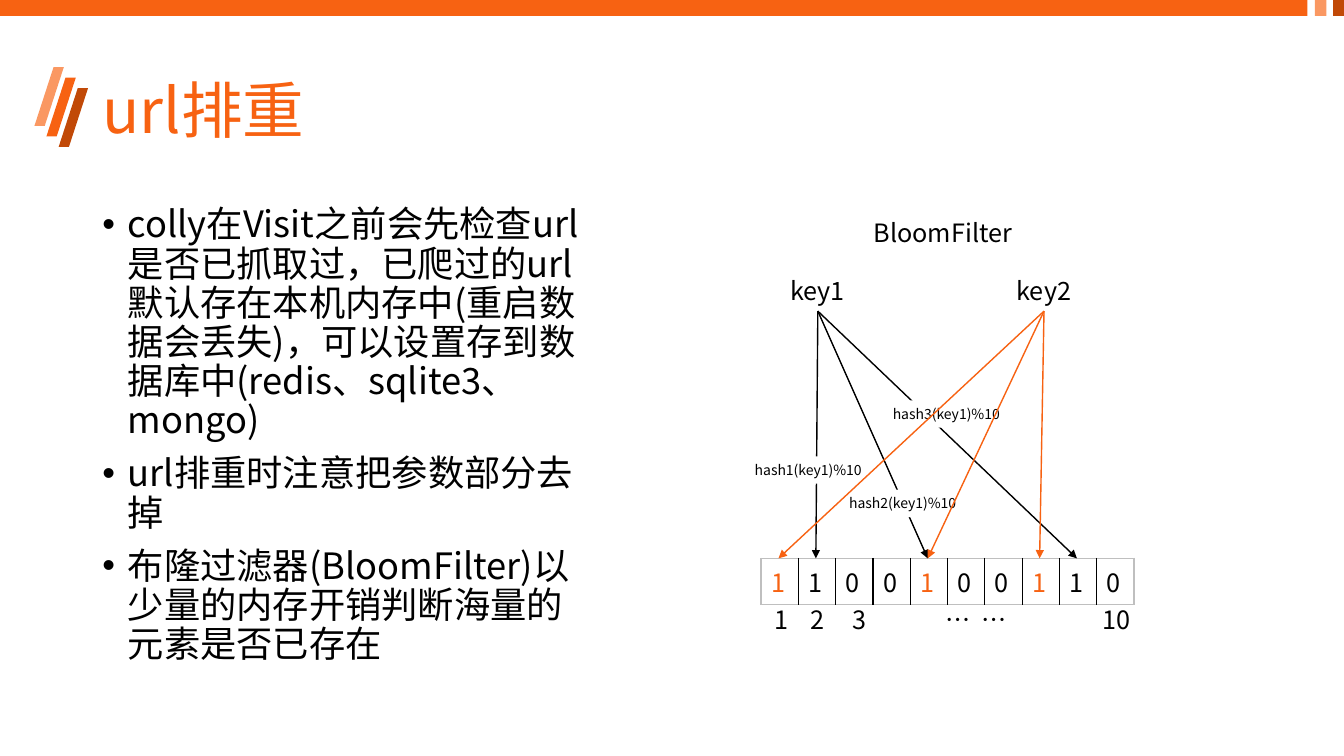
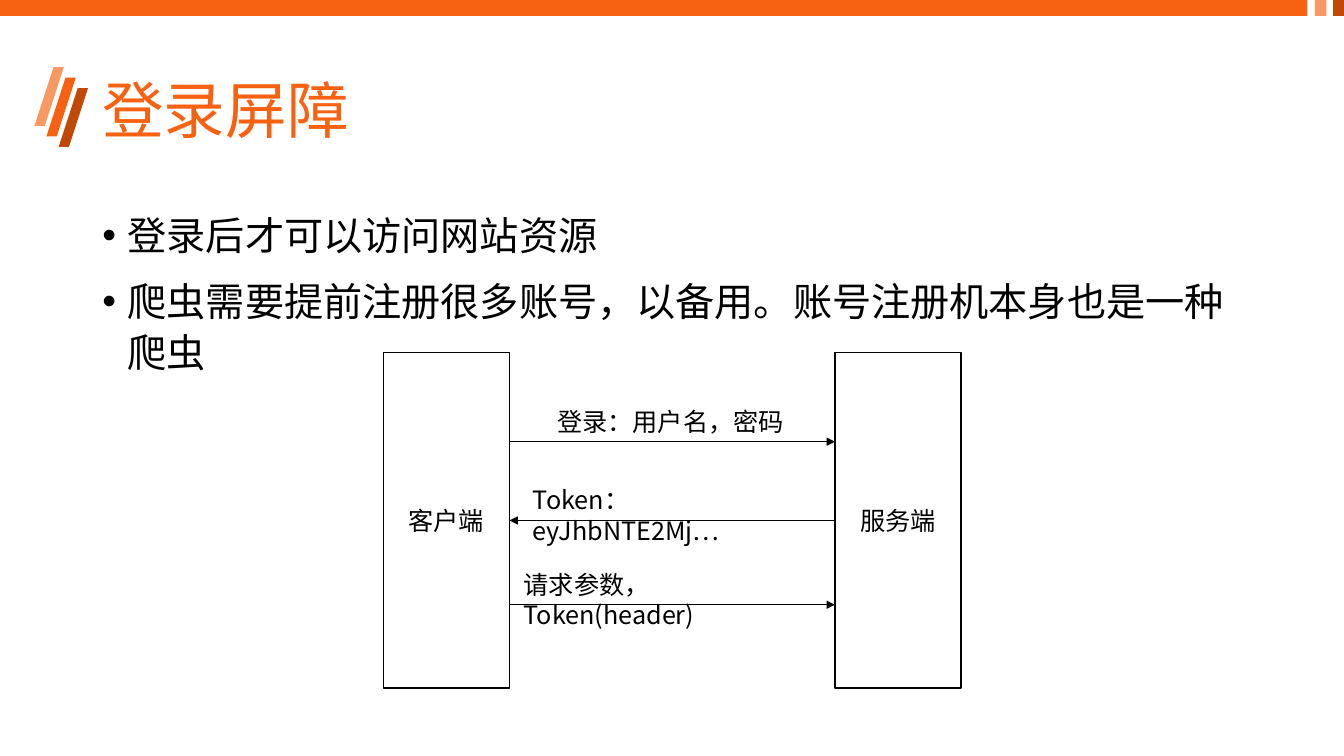
from dataclasses import dataclass
from typing import Optional

import lxml.etree
import pptx
import pptx.dml.color
import pptx.enum.shapes
import pptx.enum.text
import pptx.oxml.ns
import pptx.util

Cm = pptx.util.Cm
Pt = pptx.util.Pt
SHAPES = pptx.enum.shapes.MSO_SHAPE
ANCHOR = pptx.enum.text.MSO_ANCHOR
ALIGN = pptx.enum.text.PP_ALIGN

FONT = "Noto Sans CJK SC"
COLOURS = {
    "orange": "F76212",
    "light": "FA9862",
    "dark": "C14907",
    "black": "000000",
    "grey": "BFBFBF",
    "white": "FFFFFF",
}
TOP, LEFT, BOTTOM, RIGHT = range(4)


@dataclass
class Box:
    left: float
    top: float
    width: float
    height: float


@dataclass
class Decoration:
    box: Box
    colour: str
    geometry: int


@dataclass
class Label:
    text: str
    box: Box
    size: float = 18
    fill: Optional[str] = None
    wrap: bool = False


@dataclass
class Key:
    label: Label
    colour: str
    cells: tuple


DECORATIONS = [
    Decoration(Box(1.17, 1.96, 0.74, 1.48), "orange", SHAPES.PARALLELOGRAM),
    Decoration(Box(0.87, 1.69, 0.74, 1.48), "light", SHAPES.PARALLELOGRAM),
    Decoration(Box(1.48, 2.22, 0.74, 1.48), "dark", SHAPES.PARALLELOGRAM),
    Decoration(Box(0, 0, 32.95, 0.4), "orange", SHAPES.RECTANGLE),
    Decoration(Box(33.14, 0, 0.29, 0.4), "light", SHAPES.RECTANGLE),
    Decoration(Box(33.6, 0, 0.27, 0.4), "dark", SHAPES.RECTANGLE),
]

BITS = "1100100110"
ORANGE_BITS = (0, 4, 7)
BITS_LEFT, BITS_TOP, BIT_WIDTH = 19.18, 14.07, 0.94
KEYS = [
    Key(Label("key1", Box(19.67, 6.81, 1.88, 1.03)), "black", (1, 4, 8)),
    Key(Label("key2", Box(25.37, 6.81, 1.88, 1.03)), "orange", (0, 4, 7)),
]
HASH_POSITIONS = [(18.77, 11.5), (21.15, 12.34), (22.25, 10.09)]
INDEX_TABS = (0.92, 1.98, 4.31, 5.22, 8.28)

PARTY_TOP, PARTY_WIDTH, PARTY_HEIGHT = 8.89, 3.18, 8.45
CLIENT_LEFT, SERVER_LEFT = 9.66, 21.04
CLIENT_EDGE = CLIENT_LEFT + PARTY_WIDTH
MESSAGES = [
    Label("登录：用户名，密码", Box(13.79, 10.11, 6.27, 1.02)),
    Label("请求参数，Token(header)", Box(12.95, 14.22, 7.4, 1.02), wrap=True),
    Label("Token：eyJhbNTE2Mj…", Box(13.18, 12.09, 7.2, 1.02), wrap=True),
]


def rgb(name: str):
    return pptx.dml.color.RGBColor.from_string(COLOURS[name])


def add_element(parent, tag: str, **attributes: str):
    element = lxml.etree.SubElement(parent, pptx.oxml.ns.qn(tag))
    for name, value in attributes.items():
        element.set(name, value)
    return element


def lengths(box: Box) -> list:
    return [Cm(value) for value in (box.left, box.top, box.width, box.height)]


def style(paragraph, size: float, colour: str = "black") -> None:
    for run in paragraph.runs:
        run.font.size = Pt(size)
        run.font.color.rgb = rgb(colour)
        run.font.name = FONT
        add_element(run.font._element, "a:ea", typeface=FONT)


def add_box(slide, geometry: int, box: Box, fill: str, line: Optional[str] = None):
    shape = slide.shapes.add_shape(geometry, *lengths(box))
    shape.shadow.inherit = False
    shape.fill.solid()
    shape.fill.fore_color.rgb = rgb(fill)
    if line:
        shape.line.color.rgb = rgb(line)
        shape.line.width = Pt(1)
    else:
        shape.line.fill.background()
    return shape


def add_label(slide, label: Label, colour: str = "black"):
    shape = slide.shapes.add_textbox(*lengths(label.box))
    text_frame = shape.text_frame
    text_frame.word_wrap = label.wrap
    text_frame.text = label.text
    style(text_frame.paragraphs[0], label.size, colour)
    if label.fill:
        shape.fill.solid()
        shape.fill.fore_color.rgb = rgb(label.fill)
    return shape


def add_arrow(slide, start: tuple, end: tuple, colour: str = "black"):
    points = [Cm(value) for value in (*start, *end)]
    arrow = slide.shapes.add_connector(pptx.enum.shapes.MSO_CONNECTOR.STRAIGHT, *points)
    arrow.line.color.rgb = rgb(colour)
    arrow.line.width = Pt(1)
    add_element(arrow.line._get_or_add_ln(), "a:tailEnd", type="triangle")
    add_element(arrow._element.spPr, "a:effectLst")
    return arrow


def add_bullets(slide, box: Box, texts: list, size: float, spacing: float) -> None:
    text_frame = slide.shapes.add_textbox(*lengths(box)).text_frame
    text_frame.word_wrap = True
    text_frame.text = "\n".join(texts)
    for index, paragraph in enumerate(text_frame.paragraphs):
        paragraph.line_spacing = spacing
        paragraph.space_before = Pt(10 if index else 0)
        properties = paragraph._p.get_or_add_pPr()
        properties.set("marL", str(Cm(0.64)))
        properties.set("indent", str(-Cm(0.64)))
        add_element(properties, "a:buFont", typeface="Arial")
        add_element(properties, "a:buChar", char="•")
        style(paragraph, size)


def add_titled_slide(presentation, title: str):
    slide = presentation.slides.add_slide(presentation.slide_layouts[6])
    slide.background.fill.solid()
    slide.background.fill.fore_color.rgb = rgb("white")
    for decoration in DECORATIONS:
        shape = add_box(slide, decoration.geometry, decoration.box, decoration.colour)
        if decoration.geometry == SHAPES.PARALLELOGRAM:
            shape.adjustments[0] = 0.65
    heading = Label(title, Box(2.33, 1.01, 29.21, 3.68), 44, wrap=True)
    text_frame = add_label(slide, heading, "orange").text_frame
    text_frame.vertical_anchor = ANCHOR.MIDDLE
    text_frame.paragraphs[0].line_spacing = 0.9
    return slide


def add_border(cell, left: str, right: str) -> None:
    properties = cell._tc.get_or_add_tcPr()
    sides = {"a:lnL": left, "a:lnR": right, "a:lnT": "grey", "a:lnB": "grey"}
    for index, (side, colour) in enumerate(sides.items()):
        line = lxml.etree.Element(pptx.oxml.ns.qn(side), w=str(Pt(1)))
        fill = add_element(line, "a:solidFill")
        add_element(fill, "a:srgbClr", val=COLOURS[colour])
        properties.insert(index, line)


def add_bit_table(slide) -> None:
    box = Box(BITS_LEFT, BITS_TOP, BIT_WIDTH * len(BITS), 1.16)
    table = slide.shapes.add_table(1, len(BITS), *lengths(box)).table
    table.first_row = False
    table.horz_banding = False
    for index, bit in enumerate(BITS):
        table.columns[index].width = Cm(BIT_WIDTH)
        cell = table.cell(0, index)
        cell.fill.background()
        left = "black" if index else "grey"
        right = "black" if index < len(BITS) - 1 else "grey"
        add_border(cell, left, right)
        cell.text_frame.text = bit
        colour = "orange" if index in ORANGE_BITS else "black"
        style(cell.text_frame.paragraphs[0], 18, colour)


def add_key_arrows(slide, key: Key, key_shape) -> None:
    box = key.label.box
    start = (box.left + box.width / 2, box.top + box.height)
    for cell in key.cells:
        end = (BITS_LEFT + BIT_WIDTH * (cell + 0.5) - 0.03, BITS_TOP)
        add_arrow(slide, start, end, key.colour).begin_connect(key_shape, BOTTOM)


def add_bit_indexes(slide) -> None:
    label = Label("1\t2\t3\t…\t…\t10", Box(19.26, 15.11, 9.6, 1.02), wrap=True)
    paragraph = add_label(slide, label).text_frame.paragraphs[0]
    tabs = add_element(paragraph._p.get_or_add_pPr(), "a:tabLst")
    for position in INDEX_TABS:
        add_element(tabs, "a:tab", pos=str(Cm(position)), algn="l")


def build_url_slide(presentation) -> None:
    slide = add_titled_slide(presentation, "url排重")
    texts = [
        "colly在Visit之前会先检查url是否已抓取过，已爬过的url默认存在本机内存中"
        "(重启数据会丢失)，可以设置存到数据库中(redis、sqlite3、mongo)",
        "url排重时注意把参数部分去掉",
        "布隆过滤器(BloomFilter)以少量的内存开销判断海量的元素是否已存在",
    ]
    add_bullets(slide, Box(2.33, 5.08, 12.78, 12.09), texts, 25.9, 0.9)
    add_bit_table(slide)
    first, second = KEYS
    first_shape, second_shape = [add_label(slide, key.label) for key in KEYS]
    add_key_arrows(slide, first, first_shape)
    for number, (left, top) in enumerate(HASH_POSITIONS, 1):
        box = Box(left, top, 3.23, 0.69)
        add_label(slide, Label(f"hash{number}(key1)%10", box, 10, "white"))
    add_key_arrows(slide, second, second_shape)
    add_bit_indexes(slide)
    add_label(slide, Label("BloomFilter", Box(21.77, 5.36, 4.19, 1.02), wrap=True))


def add_party(slide, name: str, left: float):
    box = Box(left, PARTY_TOP, PARTY_WIDTH, PARTY_HEIGHT)
    shape = add_box(slide, SHAPES.RECTANGLE, box, "white", "black")
    shape.text_frame.text = name
    shape.text_frame.vertical_anchor = ANCHOR.MIDDLE
    paragraph = shape.text_frame.paragraphs[0]
    paragraph.alignment = ALIGN.CENTER
    style(paragraph, 18)
    return shape


def build_login_slide(presentation) -> None:
    slide = add_titled_slide(presentation, "登录屏障")
    texts = [
        "登录后才可以访问网站资源",
        "爬虫需要提前注册很多账号，以备用。账号注册机本身也是一种爬虫",
    ]
    add_bullets(slide, Box(2.33, 5.08, 29.21, 12.09), texts, 28, 1.1)
    client = add_party(slide, "客户端", CLIENT_LEFT)
    server = add_party(slide, "服务端", SERVER_LEFT)
    for height in (11.13, 15.24):
        add_arrow(slide, (CLIENT_EDGE, height), (SERVER_LEFT, height))
    middle = PARTY_TOP + PARTY_HEIGHT / 2
    reply = add_arrow(slide, (SERVER_LEFT, middle), (CLIENT_EDGE, middle))
    reply.begin_connect(server, LEFT)
    reply.end_connect(client, RIGHT)
    for message in MESSAGES:
        add_label(slide, message)


def main() -> None:
    presentation = pptx.Presentation()
    presentation.slide_width = Cm(33.87)
    presentation.slide_height = Cm(19.05)
    build_url_slide(presentation)
    build_login_slide(presentation)
    presentation.save("out.pptx")


if __name__ == "__main__":
    main()
